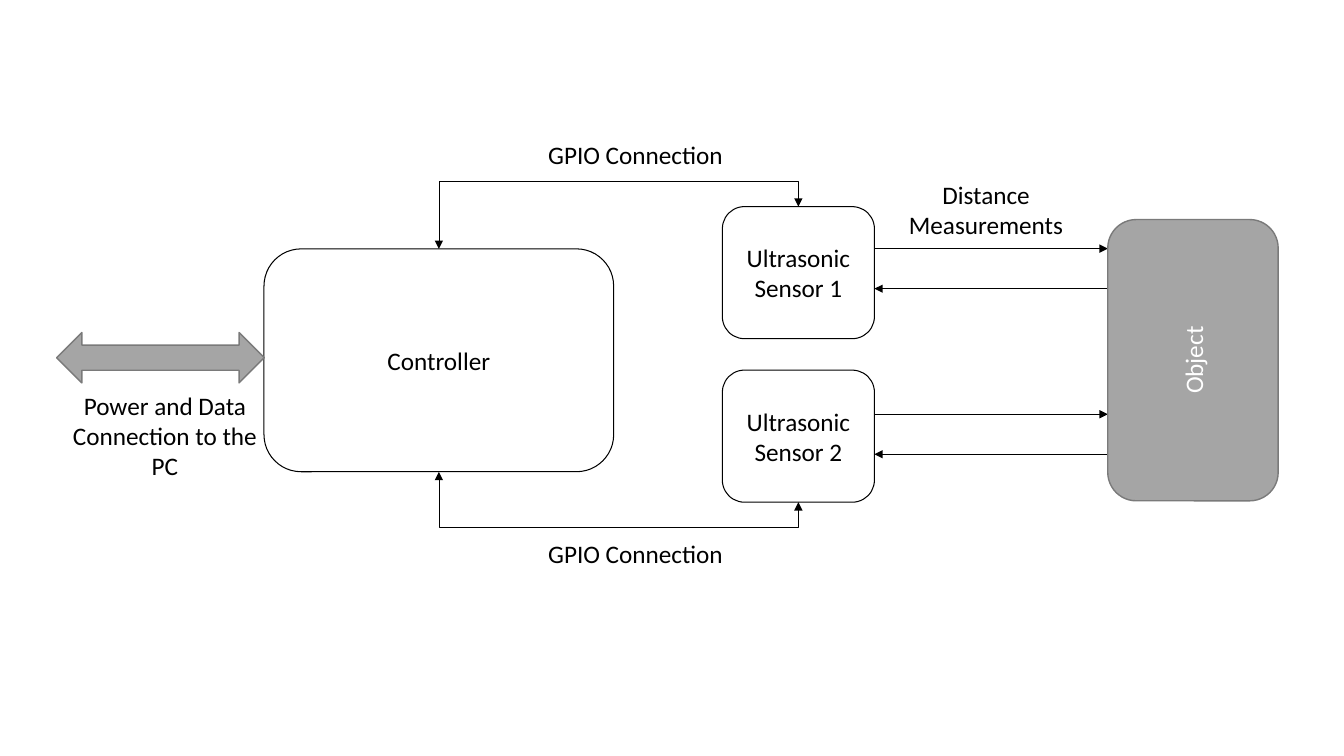
from dataclasses import dataclass

from lxml import etree
from pptx import Presentation
from pptx.dml.color import RGBColor
from pptx.enum.shapes import MSO_CONNECTOR, MSO_SHAPE
from pptx.enum.text import MSO_ANCHOR, MSO_AUTO_SIZE, PP_ALIGN
from pptx.oxml.ns import qn
from pptx.shapes.connector import Connector
from pptx.text.text import TextFrame
from pptx.util import Pt

BLACK = RGBColor(0x00, 0x00, 0x00)
WHITE = RGBColor(0xFF, 0xFF, 0xFF)
GREY = RGBColor(0xA5, 0xA5, 0xA5)
DARK_GREY = RGBColor(0x7A, 0x7A, 0x7A)


@dataclass(frozen=True)
class Block:
    left: float
    top: float
    width: float
    height: float
    text: str = ""
    kind: MSO_SHAPE = MSO_SHAPE.ROUNDED_RECTANGLE
    fill: RGBColor | None = None
    line: RGBColor = BLACK
    line_width: float = 0.75
    text_color: RGBColor = BLACK
    rotation: float = 0

    @property
    def center_x(self) -> float:
        return self.left + self.width / 2

    @property
    def right(self) -> float:
        return self.left + self.width

    @property
    def bottom(self) -> float:
        return self.top + self.height


@dataclass(frozen=True)
class Label:
    left: float
    top: float
    width: float
    height: float
    text: str
    wrap: bool = True


def write(frame: TextFrame, text: str, color: RGBColor, align: PP_ALIGN) -> None:
    paragraph = frame.paragraphs[0]
    paragraph.alignment = align
    run = paragraph.add_run()
    run.text = text
    run.font.name = "Calibri"
    run.font.size = Pt(18)
    run.font.color.rgb = color


def draw_block(block: Block) -> None:
    shape = slide.shapes.add_shape(
        block.kind, Pt(block.left), Pt(block.top), Pt(block.width), Pt(block.height))
    shape.shadow.inherit = False
    shape.rotation = block.rotation
    if block.fill is None:
        shape.fill.background()
    else:
        shape.fill.solid()
        shape.fill.fore_color.rgb = block.fill
    shape.line.color.rgb = block.line
    shape.line.width = Pt(block.line_width)
    if block.text:
        shape.text_frame.word_wrap = True
        shape.text_frame.vertical_anchor = MSO_ANCHOR.MIDDLE
        write(shape.text_frame, block.text, block.text_color, PP_ALIGN.CENTER)


def draw_label(label: Label) -> None:
    box = slide.shapes.add_textbox(
        Pt(label.left), Pt(label.top), Pt(label.width), Pt(label.height))
    box.text_frame.word_wrap = label.wrap
    box.text_frame.auto_size = MSO_AUTO_SIZE.SHAPE_TO_FIT_TEXT
    write(box.text_frame, label.text, BLACK,
          PP_ALIGN.CENTER if label.wrap else PP_ALIGN.LEFT)


def style_connector(connector: Connector, *ends: str) -> None:
    connector.line.color.rgb = BLACK
    connector.line.width = Pt(0.5)
    line = connector.line._get_or_add_ln()
    for end in ends:
        etree.SubElement(line, qn(f"a:{end}"), type="triangle")
    etree.SubElement(connector._element.spPr, qn("a:effectLst"))


def draw_arrow(start_x: float, end_x: float, y: float) -> None:
    arrow = slide.shapes.add_connector(
        MSO_CONNECTOR.STRAIGHT, Pt(start_x), Pt(y), Pt(end_x), Pt(y))
    style_connector(arrow, "tailEnd")


def draw_gpio_link(start_x: float, start_y: float, end_x: float, end_y: float,
                   via_y: float) -> None:
    width, height = abs(end_y - start_y), abs(end_x - start_x)
    left = (start_x + end_x - width) / 2
    top = (start_y + end_y - height) / 2
    link = slide.shapes.add_connector(
        MSO_CONNECTOR.ELBOW, Pt(left), Pt(top), Pt(left + width), Pt(top + height))
    downward = end_y > start_y
    properties = link._element.spPr
    transform = properties.find(qn("a:xfrm"))
    transform.set("rot", str((270 if downward else 90) * 60000))
    transform.set("flipH", "1")
    if downward:
        transform.set("flipV", "1")
    bend = round((via_y - start_y) / (end_y - start_y) * 100000)
    adjustments = properties.find(qn("a:prstGeom")).get_or_add_avLst()
    etree.SubElement(adjustments, qn("a:gd"), name="adj1", fmla=f"val {bend}")
    style_connector(link, "headEnd", "tailEnd")


presentation = Presentation()
presentation.slide_width = Pt(960)
presentation.slide_height = Pt(540)
slide = presentation.slides.add_slide(presentation.slide_layouts[6])

controller = Block(188.6, 177.8, 249.8, 159.2, "Controller")
sensor_1, sensor_2 = (
    Block(516, top, 108.6, 94.3, f"Ultrasonic Sensor {number}")
    for number, top in enumerate((147.6, 264.4), start=1))
target = Block(751.7, 196.4, 200.9, 121.7, "Object", fill=GREY, line=DARK_GREY,
               line_width=1, text_color=WHITE, rotation=270)
pc_arrow = Block(96.6, 181.4, 36, 148.3, kind=MSO_SHAPE.UP_DOWN_ARROW, fill=GREY,
                 line=DARK_GREY, line_width=1, rotation=90)
labels = [
    Label(384.5, 95.8, 141.1, 29.1, "GPIO Connection", wrap=False),
    Label(384.5, 381, 141.1, 29.1, "GPIO Connection", wrap=False),
    Label(641.3, 124.6, 126, 50.9, "Distance Measurements"),
    Label(40.8, 275, 154.1, 72.7, "Power and Data Connection to the PC"),
]

for block in (controller, sensor_1, sensor_2):
    draw_block(block)

LINK_GAP = 18
draw_gpio_link(sensor_1.center_x, sensor_1.top, controller.center_x, controller.top,
               sensor_1.top - LINK_GAP)
draw_gpio_link(sensor_2.center_x, sensor_2.bottom, controller.center_x,
               controller.bottom, sensor_2.bottom + LINK_GAP)

target_left = target.center_x - target.height / 2
for sensor, send_y in ((sensor_1, 177.6), (sensor_2, 295.9)):
    draw_arrow(sensor.right, target_left, send_y)
    draw_arrow(target_left, sensor.right, send_y + 28.6)

draw_block(target)
for label in labels:
    draw_label(label)
draw_block(pc_arrow)

presentation.save("out.pptx")
